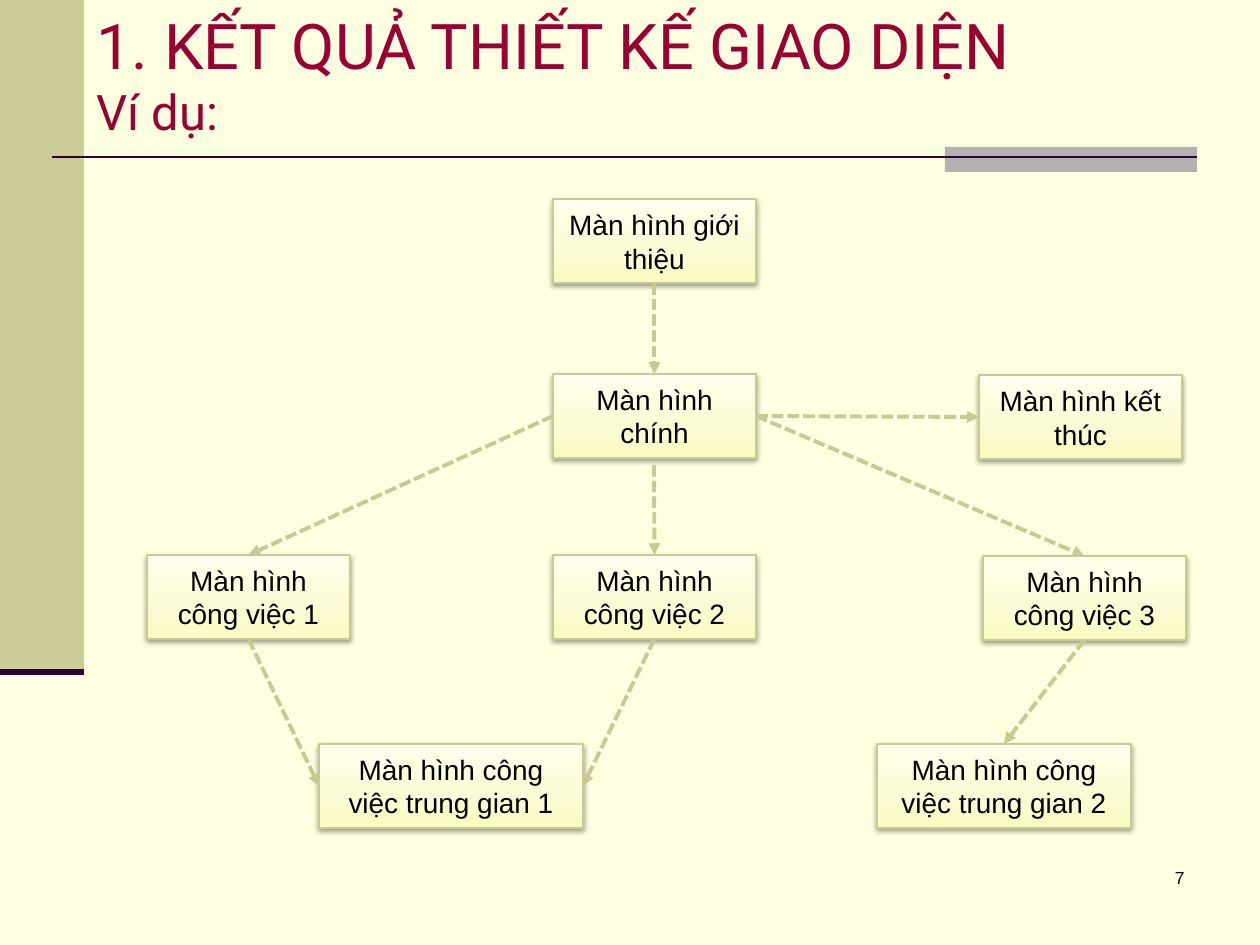
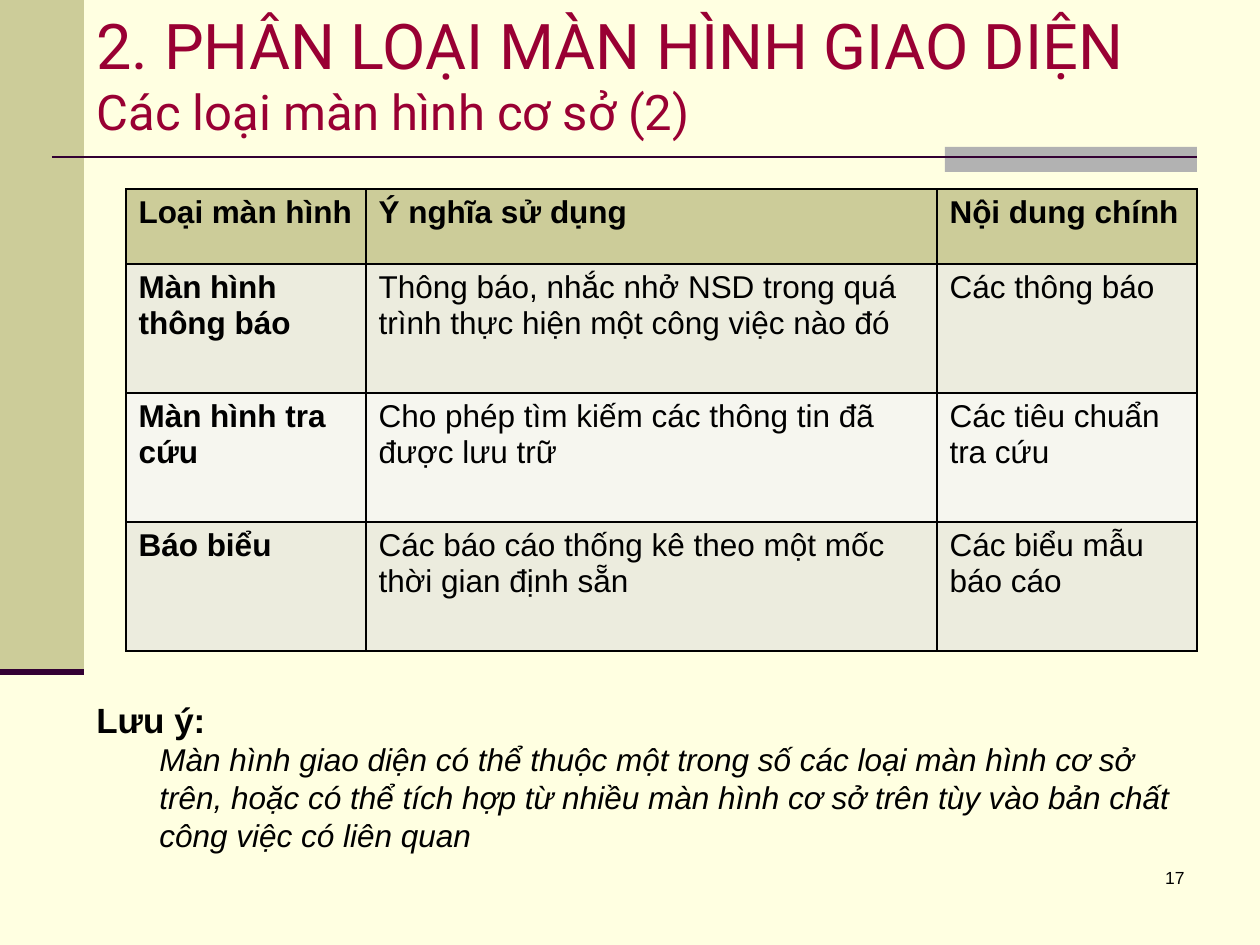
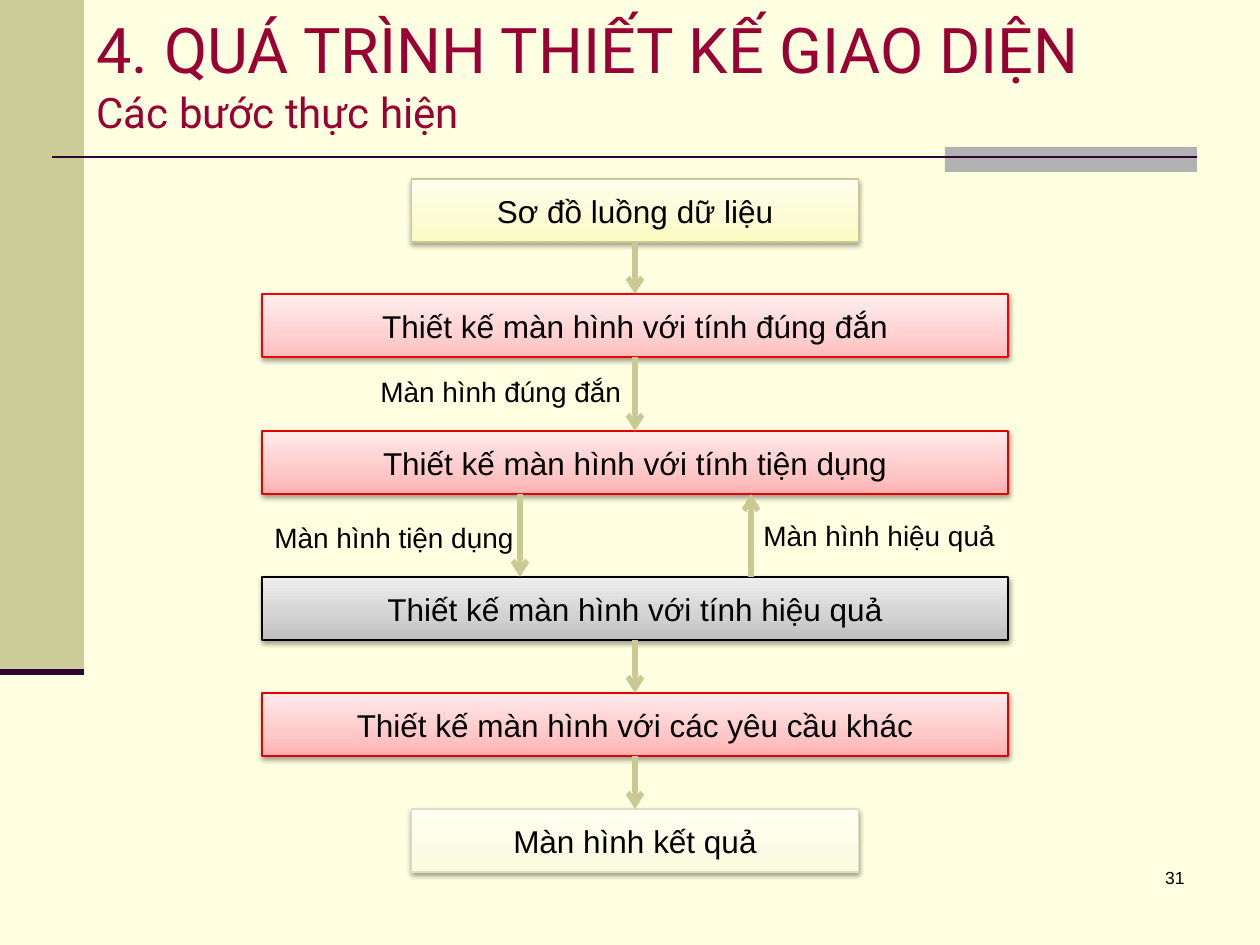
from itertools import pairwise

from lxml import etree
from pptx import Presentation
from pptx import util as u
from pptx.dml.color import RGBColor
from pptx.enum import dml, shapes, text
from pptx.oxml.ns import qn

EMU_PER_PX = u.Inches(1) / 126
SLIDE_SIZE = (1260, 945)
TITLE_BOX = (84, 0, 1113, 147)
NUMBER_BOX = (935, 861, 262, 63)
TITLE_ONLY = 5
TITLE_FONT, BODY_FONT = "Roboto", "Arial"

COLOURS = {
    "background": "FFFFE1",
    "olive": "CCCC99",
    "grey": "B2B2B2",
    "plum": "330033",
    "title": "990033",
    "text": "000000",
    "arrow": "C9C994",
    "odd row": "ECECDE",
    "even row": "F6F6EF",
}
# Outline, then the gradient from bottom to top
BOX_STYLES = {
    "cream": ("C9C994", "FBFBC1", "FBFBD3", "FFFFED"),
    "pale cream": ("DEDEC5", "FCFCDC", "FCFCE6", "FFFFF4"),
    "red": ("E20000", "FFB1B1", "FFC8C8", "FFEAEA"),
    "pale red": ("F90000", "FFBDBD", "FFD1D1", "FFEEEE"),
    "grey": ("000000", "BDBDBD", "D1D1D1", "EEEEEE"),
}
GRADIENT_STOPS = (0, 35, 100)
DASHED = {"width": u.Pt(2.25), "dash_style": dml.MSO_LINE.SQUARE_DOT}
SOLID = {"width": u.Pt(3)}
TOP, LEFT, BOTTOM, RIGHT = range(4)


def px(*lengths):
    return [round(length * EMU_PER_PX) for length in lengths]


def within(box, left, top, width, height):
    """Turn a place relative to the box into a place on the slide."""
    return box[0] + left, box[1] + top, width, height


def rgb(hex_string):
    return RGBColor.from_string(hex_string)


def apply(target, values):
    for name, value in values.items():
        setattr(target, name, value)


def add_run(paragraph, words, size, colour="text", **font_values):
    run = paragraph.add_run()
    run.text = words
    apply(run.font, {"size": u.Pt(size), "name": BODY_FONT} | font_values)
    run.font.color.rgb = rgb(COLOURS[colour])


def add_textbox(slide, box):
    frame = slide.shapes.add_textbox(*px(*box)).text_frame
    frame.word_wrap = True
    return frame


def add_label(slide, box, words, size, align=text.PP_ALIGN.LEFT):
    paragraph = add_textbox(slide, box).paragraphs[0]
    paragraph.alignment = align
    add_run(paragraph, words, size)


def add_line(slide, start, end, colour, line_values, arrow=None):
    line = slide.shapes.add_connector(shapes.MSO_CONNECTOR.STRAIGHT, *px(*start, *end))
    line.line.color.rgb = rgb(COLOURS[colour])
    apply(line.line, line_values)
    properties = line.element.spPr
    if arrow:
        etree.SubElement(properties.find(qn("a:ln")), qn("a:tailEnd"), type=arrow)
    etree.SubElement(properties, qn("a:effectLst"))
    return line


def add_band(slide, box, colour):
    band = slide.shapes.add_shape(shapes.MSO_SHAPE.RECTANGLE, *px(*box))
    band.shadow.inherit = False
    band.fill.solid()
    band.fill.fore_color.rgb = rgb(COLOURS[colour])
    band.line.fill.background()


def add_colour(parent, value):
    return etree.SubElement(parent, qn("a:srgbClr"), val=value)


def add_box(slide, box, words, size, style="cream"):
    """Add a captioned rectangle with a gradient and a soft shadow."""
    outline, *gradient = BOX_STYLES[style]
    shape = slide.shapes.add_shape(shapes.MSO_SHAPE.RECTANGLE, *px(*box))
    shape.line.color.rgb = rgb(outline)
    shape.line.width = u.Pt(0.75)

    shape.fill.gradient()
    shape.fill.gradient_angle = 90
    properties = shape.element.spPr
    stops = properties.find(qn("a:gradFill")).find(qn("a:gsLst"))
    for stop in list(stops):
        stops.remove(stop)
    for percent, colour in zip(GRADIENT_STOPS, gradient):
        add_colour(etree.SubElement(stops, qn("a:gs"), pos=str(percent * 1000)), colour)

    shape.shadow.inherit = False
    shadow = etree.SubElement(
        properties.find(qn("a:effectLst")), qn("a:outerShdw"),
        blurRad="40000", dist="20000", dir="5400000", rotWithShape="0")
    etree.SubElement(add_colour(shadow, "000000"), qn("a:alpha"), val="38000")

    frame = shape.text_frame
    apply(frame, {"word_wrap": True, "vertical_anchor": text.MSO_ANCHOR.MIDDLE})
    frame.paragraphs[0].alignment = text.PP_ALIGN.CENTER
    add_run(frame.paragraphs[0], words, size)
    return shape


def add_slide(prs, heading, subheading, subheading_size, number):
    """Add a slide with the shared bands, title and page number."""
    slide = prs.slides.add_slide(prs.slide_layouts[TITLE_ONLY])
    add_band(slide, (0, 0, 84, 672), "olive")
    add_band(slide, (945, 147, 252, 25), "grey")
    add_line(slide, (52, 157), (1197, 157), "plum", {"width": u.Pt(1.5)})
    add_line(slide, (0, 672), (84, 672), "plum", {"width": u.Pt(3.5)})

    title = slide.shapes.title
    apply(title, dict(zip(("left", "top", "width", "height"), px(*TITLE_BOX))))
    apply(title.text_frame, {"word_wrap": True, "auto_size": text.MSO_AUTO_SIZE.NONE,
                             "vertical_anchor": text.MSO_ANCHOR.MIDDLE})
    paragraph = title.text_frame.paragraphs[0]
    paragraph.alignment = text.PP_ALIGN.LEFT
    add_run(paragraph, heading, 36, "title", name=TITLE_FONT)
    paragraph.add_line_break()
    add_run(paragraph, subheading, subheading_size, "title", name=TITLE_FONT)

    add_label(slide, NUMBER_BOX, str(number), 10, text.PP_ALIGN.RIGHT)
    return slide


def add_screen_map(slide, box):
    screens = {
        "intro": (406, 0, 203, "Màn hình giới thiệu"),
        "main": (406, 175, 203, "Màn hình chính"),
        "end": (832, 176, 203, "Màn hình kết thúc"),
        "task 1": (0, 356, 203, "Màn hình công việc 1"),
        "task 2": (406, 356, 203, "Màn hình công việc 2"),
        "task 3": (836, 357, 203, "Màn hình công việc 3"),
        "middle 1": (172, 545, 264, "Màn hình công việc trung gian 1"),
        "middle 2": (730, 545, 254, "Màn hình công việc trung gian 2"),
    }
    drawn = {
        key: add_box(slide, within(box, left, top, width, 84), words, 16)
        for key, (left, top, width, words) in screens.items()
    }
    links = (
        ("intro", BOTTOM, "main", TOP),
        ("main", LEFT, "task 1", TOP),
        ("main", RIGHT, "end", LEFT),
        ("main", RIGHT, "task 3", TOP),
        ("task 1", BOTTOM, "middle 1", LEFT),
        ("task 2", BOTTOM, "middle 1", RIGHT),
        ("task 3", BOTTOM, "middle 2", TOP),
    )
    for source, source_side, target, target_side in links:
        arrow = add_line(slide, (0, 0), (0, 0), "arrow", DASHED, "triangle")
        arrow.begin_connect(drawn[source], source_side)
        arrow.end_connect(drawn[target], target_side)

    # This arrow starts a little below the main screen
    start = within(box, 507, 266, 0, 0)[:2]
    arrow = add_line(slide, start, start, "arrow", DASHED, "triangle")
    arrow.end_connect(drawn["task 2"], TOP)


def add_borders(cell):
    properties = cell._tc.get_or_add_tcPr()
    for side in ("lnL", "lnR", "lnT", "lnB"):
        border = etree.SubElement(properties, qn(f"a:{side}"), w=str(u.Pt(1)))
        add_colour(etree.SubElement(border, qn("a:solidFill")), "000000")


def add_screen_types(slide, box):
    rows = (
        ("Loại màn hình", "Ý nghĩa sử dụng", "Nội dung chính"),
        ("Màn hình thông báo",
         "Thông báo, nhắc nhở NSD trong quá trình thực hiện một công việc nào đó",
         "Các thông báo"),
        ("Màn hình tra cứu", "Cho phép tìm kiếm các thông tin đã được lưu trữ",
         "Các tiêu chuẩn tra cứu"),
        ("Báo biểu", "Các báo cáo thống kê theo một mốc thời gian định sẵn",
         "Các biểu mẫu báo cáo"),
    )
    table = slide.shapes.add_table(len(rows), len(rows[0]), *px(*box)).table
    for column, width in zip(table.columns, px(240, 571, 260)):
        column.width = width
    for row, height in zip(table.rows, px(75, 129, 129, 129)):
        row.height = height
    for r, row in enumerate(rows):
        fill = "olive" if r == 0 else "odd row" if r % 2 else "even row"
        for c, words in enumerate(row):
            cell = table.cell(r, c)
            add_borders(cell)
            cell.fill.solid()
            cell.fill.fore_color.rgb = rgb(COLOURS[fill])
            add_run(cell.text_frame.paragraphs[0], words, 18, bold=r == 0 or c == 0)


def add_note(slide, box):
    frame = add_textbox(slide, box)
    add_run(frame.paragraphs[0], "Lưu ý:", 20, bold=True)
    remark = frame.add_paragraph()
    remark.level = 1
    apply_indent = remark._p.get_or_add_pPr().set
    apply_indent("marL", str(u.Inches(0.5)))
    apply_indent("indent", "0")
    add_run(remark,
            "Màn hình giao diện có thể thuộc một trong số các loại màn hình cơ sở "
            "trên, hoặc có thể tích hợp từ nhiều màn hình cơ sở trên tùy vào bản chất "
            "công việc có liên quan", 18, italic=True)


def add_design_steps(slide, box):
    full, narrow, height = box[2], 447, 63
    steps = (
        (0, narrow, "cream", "Sơ đồ luồng dữ liệu"),
        (115, full, "pale red", "Thiết kế màn hình với tính đúng đắn"),
        (252, full, "red", "Thiết kế màn hình với tính tiện dụng"),
        (398, full, "grey", "Thiết kế màn hình với tính hiệu quả"),
        (514, full, "red", "Thiết kế màn hình với các yêu cầu khác"),
        (630, narrow, "pale cream", "Màn hình kết quả"),
    )
    drawn = [
        add_box(slide, within(box, (full - width) / 2, top, width, height), words, 18, style)
        for top, width, style, words in steps
    ]
    usable, efficient = drawn[2:4]
    for upper, lower in pairwise(drawn):
        if upper is not usable:
            arrow = add_line(slide, (0, 0), (0, 0), "arrow", SOLID, "arrow")
            arrow.begin_connect(upper, BOTTOM)
            arrow.end_connect(lower, TOP)

    # The usable and efficient steps exchange screens both ways
    usable_bottom, efficient_top = steps[2][0] + height, steps[3][0]
    for x, start, end in ((258, usable_bottom, efficient_top),
                          (489, efficient_top, usable_bottom)):
        add_line(slide, within(box, x, start, 0, 0)[:2], within(box, x, end, 0, 0)[:2],
                 "arrow", SOLID, "arrow")

    for left, top, width, words in ((106, 189, 267, "Màn hình đúng đắn"),
                                    (489, 333, 257, "Màn hình hiệu quả"),
                                    (0, 335, 273, "Màn hình tiện dụng")):
        add_label(slide, within(box, left, top, width, 47), words, 16)


def main():
    prs = Presentation()
    prs.slide_width, prs.slide_height = px(*SLIDE_SIZE)
    background = prs.slide_master.background.fill
    background.solid()
    background.fore_color.rgb = rgb(COLOURS["background"])

    results = add_slide(prs, "1. KẾT QUẢ THIẾT KẾ GIAO DIỆN", "Ví dụ:", 28, 7)
    add_screen_map(results, (147, 199, 1040, 629))

    types = add_slide(prs, "2. PHÂN LOẠI MÀN HÌNH GIAO DIỆN",
                      "Các loại màn hình cơ sở (2)", 28, 17)
    add_screen_types(types, (126, 189, 1071, 462))
    add_note(types, (84, 692, 1113, 170))

    process = add_slide(prs, "4. QUÁ TRÌNH THIẾT KẾ GIAO DIỆN",
                        "Các bước thực hiện", 24, 31)
    add_design_steps(process, (262, 179, 746, 693))

    prs.save("out.pptx")


if __name__ == "__main__":
    main()
